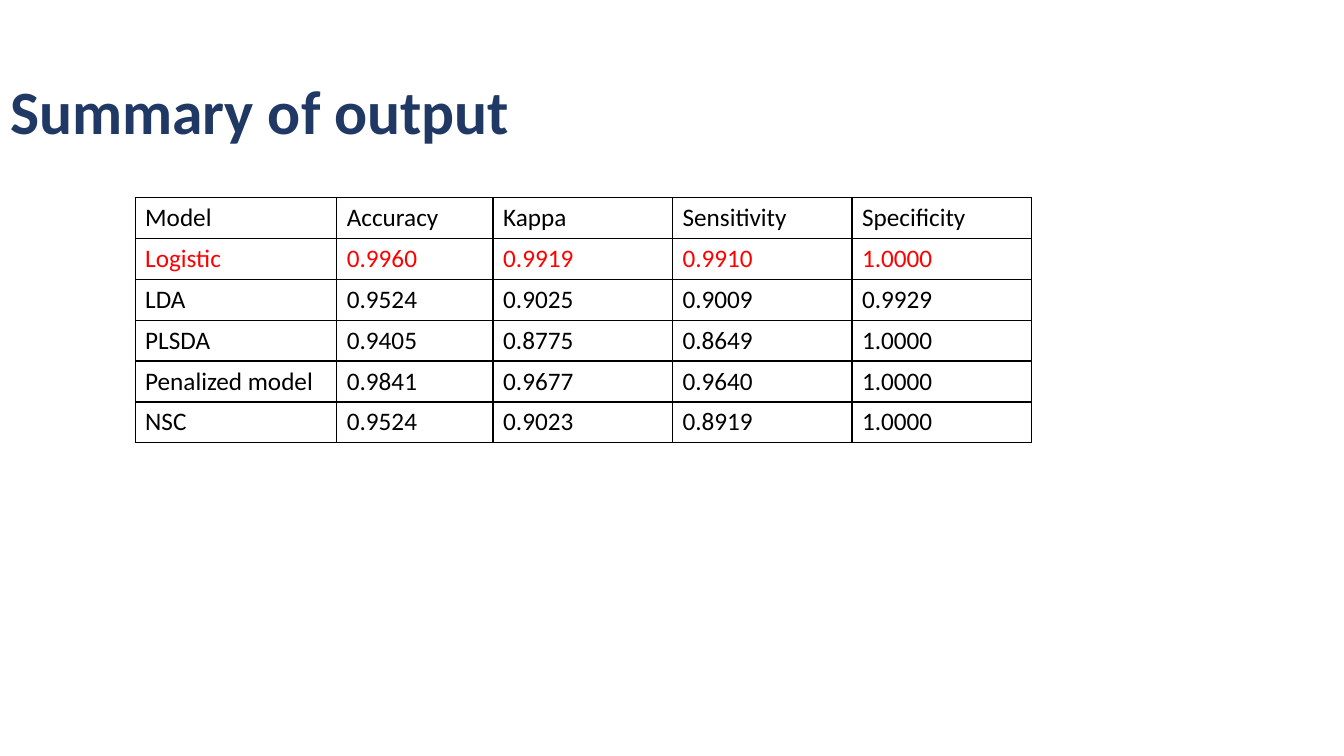
from lxml.etree import SubElement
from pptx import Presentation
from pptx.dml.color import RGBColor
from pptx.enum.text import MSO_ANCHOR, MSO_AUTO_SIZE, PP_ALIGN
from pptx.oxml.ns import qn
from pptx.util import Inches, Pt

COLORS = {"title": "203864", "text": "000000", "best": "FF0000", "line": "000000"}
FONT = "Calibri"
WIDTHS = [2, 1.55, 1.78, 1.78, 1.78]
ROW = 0.405
BEST = "Logistic"
ROWS = [
    ["Model", "Accuracy", "Kappa", "Sensitivity", "Specificity"],
    ["Logistic", "0.9960", "0.9919", "0.9910", "1.0000"],
    ["LDA", "0.9524", "0.9025", "0.9009", "0.9929"],
    ["PLSDA", "0.9405", "0.8775", "0.8649", "1.0000"],
    ["Penalized model", "0.9841", "0.9677", "0.9640", "1.0000"],
    ["NSC", "0.9524", "0.9023", "0.8919", "1.0000"],
]


def add_text(para, text, size, color, bold=False):
    run = para.add_run()
    run.text = text
    run.font.name = FONT
    run.font.size = Pt(size)
    run.font.bold = bold
    run.font.color.rgb = RGBColor.from_string(COLORS[color])


def add_border(cell):
    props = cell._tc.get_or_add_tcPr()
    for side in ("a:lnL", "a:lnR", "a:lnT", "a:lnB"):
        line = SubElement(props, qn(side), w=str(Pt(1)))
        fill = SubElement(line, qn("a:solidFill"))
        SubElement(fill, qn("a:srgbClr"), val=COLORS["line"])


prs = Presentation()
prs.slide_width = Inches(13.33)
prs.slide_height = Inches(7.5)
slide = prs.slides.add_slide(prs.slide_layouts[5])

# Title
title = slide.shapes.title
title.left, title.top = Inches(0), Inches(0.73)
title.width, title.height = Inches(13.33), Inches(0.82)
frame = title.text_frame
frame.auto_size = MSO_AUTO_SIZE.NONE
frame.vertical_anchor = MSO_ANCHOR.MIDDLE
para = frame.paragraphs[0]
para.alignment = PP_ALIGN.LEFT
para.line_spacing = 0.9
add_text(para, "Summary of output", 44, "title", bold=True)

# Table of model scores
table = slide.shapes.add_table(
    len(ROWS), len(WIDTHS), Inches(1.34), Inches(1.96),
    Inches(sum(WIDTHS)), Inches(ROW * len(ROWS))).table
table.first_row = False
table.horz_banding = False
for col, width in zip(table.columns, WIDTHS):
    col.width = Inches(width)

for row, values in zip(table.rows, ROWS):
    row.height = Inches(ROW)
    color = "best" if values[0] == BEST else "text"
    for cell, value in zip(row.cells, values):
        add_border(cell)
        cell.fill.background()
        add_text(cell.text_frame.paragraphs[0], value, 18, color)

prs.save("out.pptx")
